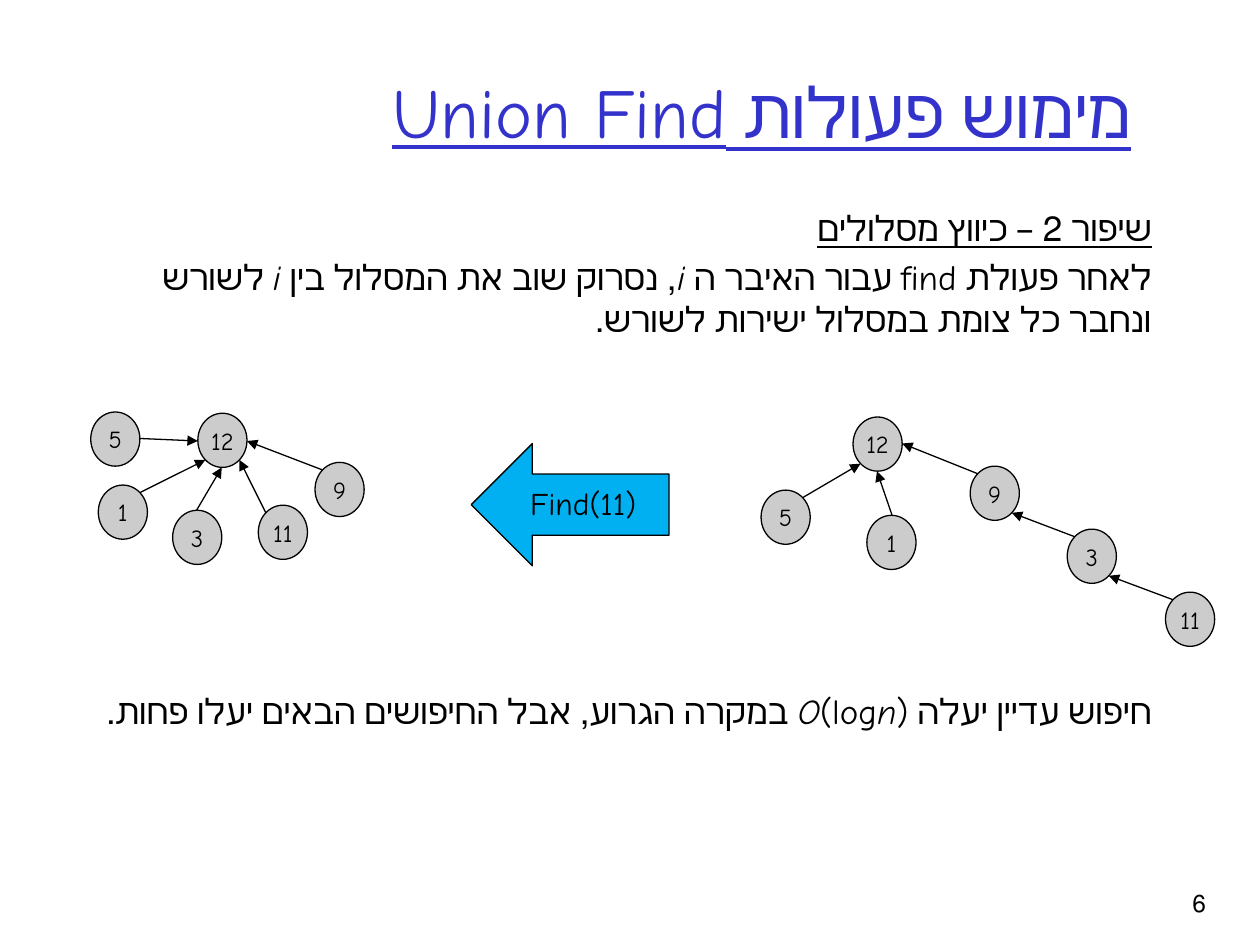
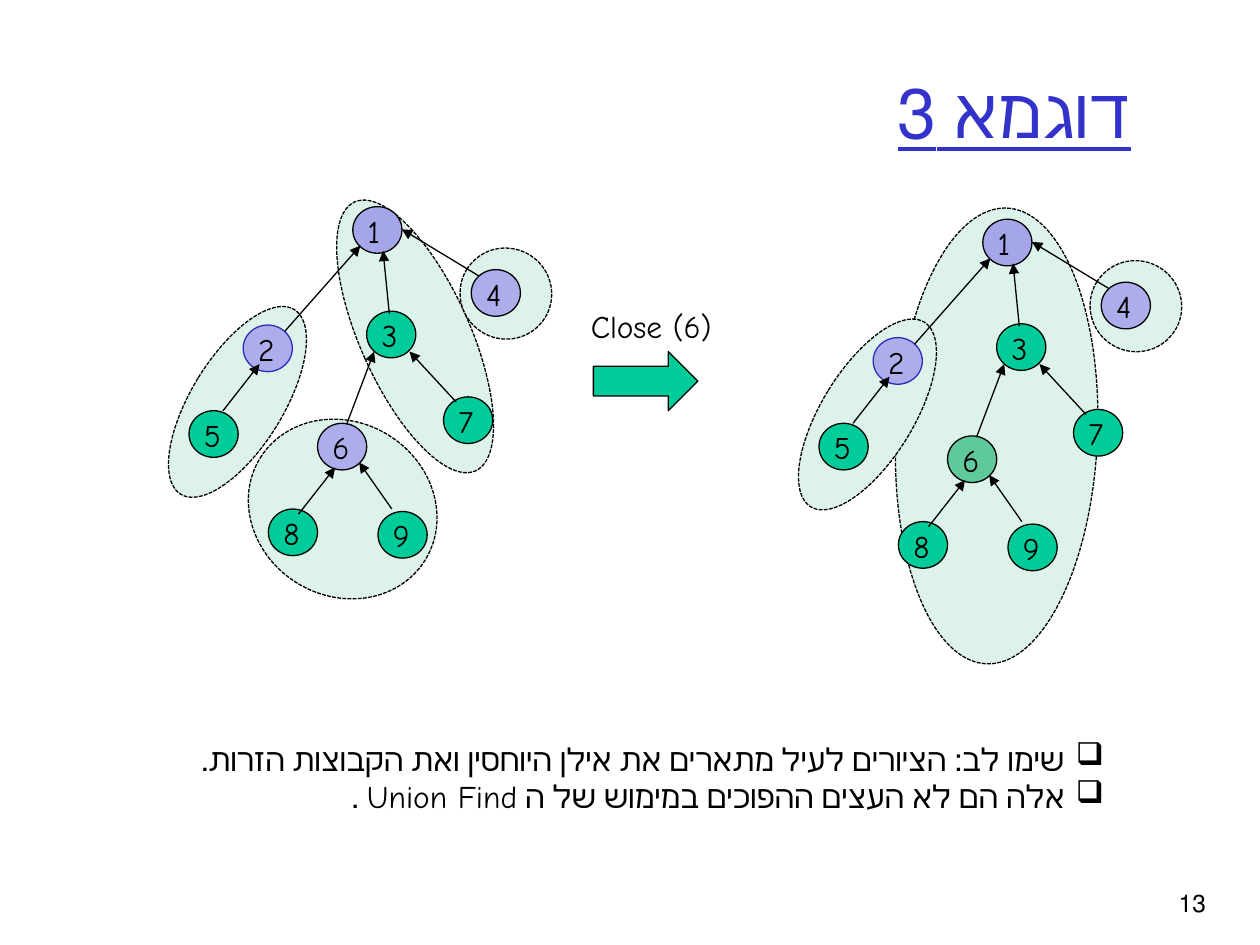
import math

from lxml import etree
from pptx import Presentation
from pptx.dml.color import RGBColor
from pptx.enum.dml import MSO_LINE
from pptx.enum.shapes import MSO_CONNECTOR, MSO_SHAPE
from pptx.enum.text import MSO_ANCHOR, PP_ALIGN
from pptx.oxml.ns import qn
from pptx.util import Emu, Pt

PX = 9144  # EMU in one px, 100 px to the inch
ELLIPSE, RIGHT_ARROW = MSO_SHAPE.OVAL, MSO_SHAPE.RIGHT_ARROW
STRAIGHT, DASHED = MSO_CONNECTOR.STRAIGHT, MSO_LINE.SQUARE_DOT
LEFT, CENTER, RIGHT = PP_ALIGN.LEFT, PP_ALIGN.CENTER, PP_ALIGN.RIGHT
MIDDLE = MSO_ANCHOR.MIDDLE

FONT = "Comic Neue"
BLACK, TITLE_BLUE, SKY, GRAY = "000000", "3333CC", "00B0F0", "CCCCCC"
GREEN, MINT, SEA = "00CC99", "DDF3EA", "60C99C"
LILAC, ROOT_LILAC, NAVY = "ADADEB", "A5A5E9", "2D2DB9"

# Compass directions as quarter and eighth turns, clockwise from east
COMPASS = {"E": 0, "SE": 45, "S": 90, "SW": 135, "W": 180, "NW": 225, "N": 270, "NE": 315}
TREE_NODE = (39, 43)
FAMILY_NODE = (39, 37)

# Tree nodes: label -> left, top; links: child, its side, parent, its side
LONG_TREE = {"12": (677, 331), "5": (604, 389), "1": (688, 409),
             "9": (770, 370), "3": (847, 420), "11": (925, 470)}
LONG_LINKS = [("5", "NE", "12", "SW"), ("1", "N", "12", "S"), ("9", "NW", "12", "E"),
              ("3", "NW", "9", "SE"), ("11", "NW", "3", "SE")]
FLAT_TREE = {"12": (157, 328), "5": (72, 327), "1": (78, 385),
             "9": (250, 367), "3": (137, 405), "11": (205, 401)}
FLAT_LINKS = [("9", "NW", "12", "E"), ("11", "NW", "12", "SE"), ("3", "N", "12", "S"),
              ("1", "NE", "12", "SW"), ("5", "E", "12", "W")]

# Family tree nodes: label -> left, top, fill
FAMILY = {"8": (213, 404, GREEN), "9": (300, 406, GREEN), "6": (252, 336, LILAC),
          "5": (150, 326, GREEN), "2": (193, 258, LILAC), "7": (352, 315, GREEN),
          "3": (291, 247, GREEN), "1": (280, 164, ROOT_LILAC), "4": (374, 214, LILAC)}
FAMILY_LINKS = [(177, 326, 206, 289), (237, 408, 266, 371), (275, 337, 297, 279),
                (311, 404, 285, 367), (226, 263, 286, 195), (362, 319, 325, 279),
                (380, 219, 319, 182), (309, 249, 304, 199)]
# Sets around the nodes: left, top, width, height, rotation
SET_OF_4 = (365, 197, 73, 72, 31.6)
SET_OF_2 = (152, 233, 73, 172, 31.6)
OPEN_SETS = [(286, 150, 87, 234, 335.8), SET_OF_4, (195, 335, 154, 138, 31.6), SET_OF_2]
CLOSED_SETS = [(211, 155, 160, 362, 2.6), SET_OF_4, SET_OF_2]


def color(hex_string):
    return RGBColor.from_string(hex_string)


class Deck:
    """Holds the presentation, the current slide and the shapes being added to."""

    def __init__(self):
        self.presentation = Presentation()
        self.presentation.slide_width = Emu(1000 * PX)
        self.presentation.slide_height = Emu(750 * PX)

    def new_slide(self, title, number):
        slide = self.presentation.slides.add_slide(self.presentation.slide_layouts[5])
        self.slide, self.shapes = slide, slide.shapes
        shape = slide.shapes.title
        shape.left, shape.top, shape.width, shape.height = self.emu(58, 25, 850, 125)
        shape.text_frame.vertical_anchor = MIDDLE
        paragraph = shape.text_frame.paragraphs[0]
        paragraph.text = title
        self.right_to_left(paragraph)
        self.format(paragraph, 40, RIGHT, TITLE_BLUE)
        paragraph.font.underline = True
        self.text((881, 700, 86, 50), [number], 14, hebrew=True)

    def emu(self, *lengths):
        return [Emu(length * PX) for length in lengths]

    def start_group(self):
        self.shapes = self.slide.shapes.add_group_shape().shapes

    def end_group(self):
        self.shapes = self.slide.shapes

    def format(self, paragraph, size, alignment=LEFT, hex_string=BLACK):
        paragraph.alignment = alignment
        paragraph.font.name = FONT
        paragraph.font.size = Pt(size)
        paragraph.font.color.rgb = color(hex_string)

    def right_to_left(self, paragraph):
        paragraph._p.get_or_add_pPr().set("rtl", "1")

    def bullet(self, paragraph, indent, character):
        properties = paragraph._p.get_or_add_pPr()
        properties.set("marL", str(indent * PX))
        properties.set("indent", str(-indent * PX))
        etree.SubElement(properties, qn("a:buChar")).set("char", character)

    def text(self, box, lines, size, hebrew=False, bullet=None):
        """Adds a text box; a line is a string or a list of (text, italic) runs."""
        frame = self.shapes.add_textbox(*self.emu(*box)).text_frame
        frame.word_wrap = True
        for index, line in enumerate(lines):
            paragraph = frame.paragraphs[0] if index == 0 else frame.add_paragraph()
            if hebrew:
                self.right_to_left(paragraph)
            if bullet:
                self.bullet(paragraph, 31, bullet)
            self.format(paragraph, size, RIGHT if hebrew else LEFT)
            for words, italic in [(line, False)] if isinstance(line, str) else line:
                run = paragraph.add_run()
                run.text = words
                if italic:
                    run.font.italic = True
        return frame.paragraphs

    def shape(self, kind, box, fill, line=BLACK, rotation=0):
        shape = self.shapes.add_shape(kind, *self.emu(*box))
        shape.shadow.inherit = False
        shape.rotation = rotation
        shape.fill.solid()
        shape.fill.fore_color.rgb = color(fill)
        shape.line.color.rgb = color(line)
        shape.line.width = Pt(0.75)
        return shape

    def arrow(self, *ends):
        connector = self.shapes.add_connector(STRAIGHT, *self.emu(*ends))
        connector.line.color.rgb = color(BLACK)
        connector.line.width = Pt(0.75)
        properties = connector._element.spPr
        etree.SubElement(properties.find(qn("a:ln")), qn("a:tailEnd")).set("type", "triangle")
        etree.SubElement(properties, qn("a:effectLst"))

    def tree(self, nodes, links):
        """Draws labelled ellipses and the arrows from child to parent."""
        for label, corner in nodes.items():
            frame = self.shape(ELLIPSE, (*corner, *TREE_NODE), GRAY).text_frame
            frame.word_wrap = False
            frame.vertical_anchor = MIDDLE
            frame.text = label
            self.format(frame.paragraphs[0], 14, CENTER)
        for child, child_side, parent, parent_side in links:
            self.arrow(*rim_point(nodes[child], child_side),
                       *rim_point(nodes[parent], parent_side))

    def family(self, sets, right=0, down=0, fills=None):
        """Draws the family tree with its sets, shifted; fills overrides node fills."""
        fills = fills or {}
        self.start_group()
        for left, top, width, height, rotation in sets:
            box = (left + right, top + down, width, height)
            self.shape(ELLIPSE, box, MINT, rotation=rotation).line.dash_style = DASHED
        for label, (left, top, fill) in FAMILY.items():
            self.shape(ELLIPSE, (left + right, top + down, *FAMILY_NODE),
                       fills.get(label, fill), NAVY if label == "2" else BLACK)
        for x1, y1, x2, y2 in FAMILY_LINKS:
            self.arrow(x1 + right, y1 + down, x2 + right, y2 + down)
        for label, (left, top, _) in FAMILY.items():
            self.text((left + right + 2, top + down - 1, 26, 40), [label], 18)
        self.end_group()


def rim_point(corner, side):
    """The point of a tree node's rim in a compass direction."""
    angle = math.radians(COMPASS[side])
    (left, top), (width, height) = corner, TREE_NODE
    return (round(left + width / 2 * (1 + math.cos(angle))),
            round(top + height / 2 * (1 + math.sin(angle))))


def path_compression(deck):
    deck.new_slide("מימוש פעולות Union Find", "6")
    heading, rule, cost = deck.text((74, 159, 850, 508), [
        "שיפור 2 – כיווץ מסלולים",
        [("לאחר פעולת find עבור האיבר ה ", False), ("i", True),
         (", נסרוק שוב את המסלול בין ", False), ("i", True),
         (" לשורש ונחבר כל צומת במסלול ישירות לשורש.", False)],
        [("חיפוש עדיין יעלה ", False), ("O", True), ("(log", False), ("n", True),
         (") במקרה הגרוע, אבל החיפושים הבאים יעלו פחות.", False)],
    ], 20, hebrew=True)
    heading.font.underline = True
    rule.space_before = Pt(4)
    cost.space_before = Pt(200)
    deck.tree(LONG_TREE, LONG_LINKS)
    deck.tree(FLAT_TREE, FLAT_LINKS)
    deck.shape(RIGHT_ARROW, (374, 352, 157, 97), SKY, rotation=180)
    deck.text((411, 379, 117, 40), ["Find(11)"], 18)


def closing_example(deck):
    deck.new_slide("דוגמא 3", "13")
    deck.shape(RIGHT_ARROW, (471, 279, 83, 47), GREEN)
    deck.family(OPEN_SETS)
    deck.family(CLOSED_SETS, right=500, down=10, fills={"6": SEA})
    deck.text((459, 239, 149, 40), ["Close (6)"], 18)
    deck.text((80, 582, 806, 71), [
        "שימו לב: הציורים לעיל מתארים את אילן היוחסין ואת הקבוצות הזרות.",
        "אלה הם לא העצים ההפוכים במימוש של ה Union Find .",
    ], 18, hebrew=True, bullet="❑")


def main():
    deck = Deck()
    path_compression(deck)
    closing_example(deck)
    deck.presentation.save("out.pptx")


if __name__ == "__main__":
    main()
